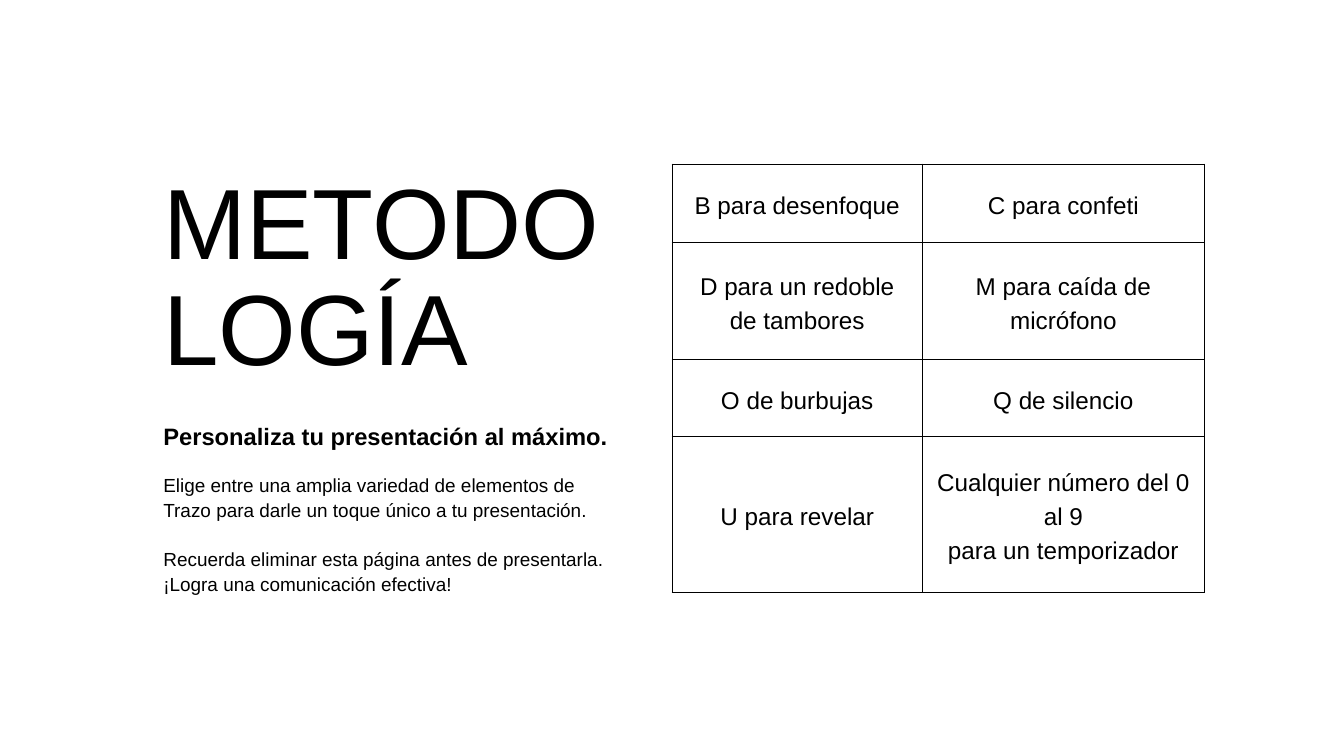
import pptx
import pptx.dml.color
import pptx.enum.text
import pptx.oxml
import pptx.oxml.ns
import pptx.util

Pt = pptx.util.Pt
ALIGN = pptx.enum.text.PP_ALIGN
ANCHOR = pptx.enum.text.MSO_ANCHOR
AUTO_SIZE = pptx.enum.text.MSO_AUTO_SIZE

COLORS = {"ink": "000000", "paper": "FFFFFF"}
FONT = "Arial"
TITLE_ONLY = 5

TITLE = "METODOLOGÍA"
SUBTITLE = "Personaliza tu presentación al máximo."
BODY = [
    ("Elige entre una amplia variedad de elementos de Trazo para darle "
     "un toque único a tu presentación.", 0),
    ("Recuerda eliminar esta página antes de presentarla.", 26.4),
    ("¡Logra una comunicación efectiva!", 0),
]
SHORTCUTS = [
    ["B para desenfoque", "C para confeti"],
    ["D para un redoble de tambores", "M para caída de micrófono"],
    ["O de burbujas", "Q de silencio"],
    ["U para revelar", "Cualquier número del 0 al 9\npara un temporizador"],
]
COLUMN_WIDTHS = [268.5, 301.8]
ROW_HEIGHTS = [83.5, 125.3, 82.8, 167]
CELL_MARGIN = 15


def color(name):
    return pptx.dml.color.RGBColor.from_string(COLORS[name])


def set_margins(target, margin):
    target.margin_left = target.margin_right = Pt(margin)
    target.margin_top = target.margin_bottom = Pt(margin)


def write(frame, paragraphs, size, spacing, align=ALIGN.LEFT, bold=False):
    for index, (text, gap) in enumerate(paragraphs):
        para = frame.paragraphs[0] if index == 0 else frame.add_paragraph()
        para.alignment = align
        para.line_spacing = Pt(spacing)
        para.space_before = Pt(gap)
        span = para.add_run()
        span.text = text
        span.font.name = FONT
        span.font.size = Pt(size)
        span.font.bold = bold
        span.font.color.rgb = color("ink")


def fill_text_box(box, area, paragraphs, size, spacing, bold=False):
    box.left, box.top, box.width, box.height = map(Pt, area)
    frame = box.text_frame
    frame.word_wrap = True
    frame.auto_size = AUTO_SIZE.SHAPE_TO_FIT_TEXT
    frame.vertical_anchor = ANCHOR.TOP
    set_margins(frame, 0)
    write(frame, paragraphs, size, spacing, bold=bold)


def add_message(page, left, top, width):
    fill_text_box(page.shapes.title, (left, top, width + 26.6, 116.6),
                  [(TITLE, 0)], 106.9, 113.3)
    subtitle = page.shapes.add_textbox(0, 0, 0, 0)
    fill_text_box(subtitle, (left, top + 262.8, width, 32.4),
                  [(SUBTITLE, 0)], 25.4, 33, bold=True)
    body = page.shapes.add_textbox(0, 0, 0, 0)
    fill_text_box(body, (left, top + 319, width, 128.9), BODY, 20.3, 26.4)


def add_borders(cell):
    properties = cell._tc.get_or_add_tcPr()
    for side in "LRTB":
        properties.append(pptx.oxml.parse_xml(
            f'<a:ln{side} {pptx.oxml.ns.nsdecls("a")} w="{Pt(0.75)}">'
            f'<a:solidFill><a:srgbClr val="{COLORS["ink"]}"/></a:solidFill>'
            f'</a:ln{side}>'))


def add_shortcut_table(page, left, top):
    table = page.shapes.add_table(
        len(ROW_HEIGHTS), len(COLUMN_WIDTHS), Pt(left), Pt(top),
        Pt(sum(COLUMN_WIDTHS)), Pt(sum(ROW_HEIGHTS))).table
    table.first_row = table.horz_banding = False
    for column, width in zip(table.columns, COLUMN_WIDTHS):
        column.width = Pt(width)
    for row, height, texts in zip(table.rows, ROW_HEIGHTS, SHORTCUTS):
        row.height = Pt(height)
        for cell, text in zip(row.cells, texts):
            add_borders(cell)
            cell.fill.background()
            cell.vertical_anchor = ANCHOR.MIDDLE
            set_margins(cell, CELL_MARGIN)
            write(cell.text_frame, [(line, 0) for line in text.split("\n")],
                  26, 36.4, ALIGN.CENTER)


def main():
    deck = pptx.Presentation()
    deck.slide_width, deck.slide_height = Pt(1440), Pt(810)
    page = deck.slides.add_slide(deck.slide_layouts[TITLE_ONLY])
    page.background.fill.solid()
    page.background.fill.fore_color.rgb = color("paper")
    add_message(page, 175, 186.5, 486)
    add_shortcut_table(page, 720, 175.7)
    deck.save("out.pptx")


if __name__ == "__main__":
    main()
